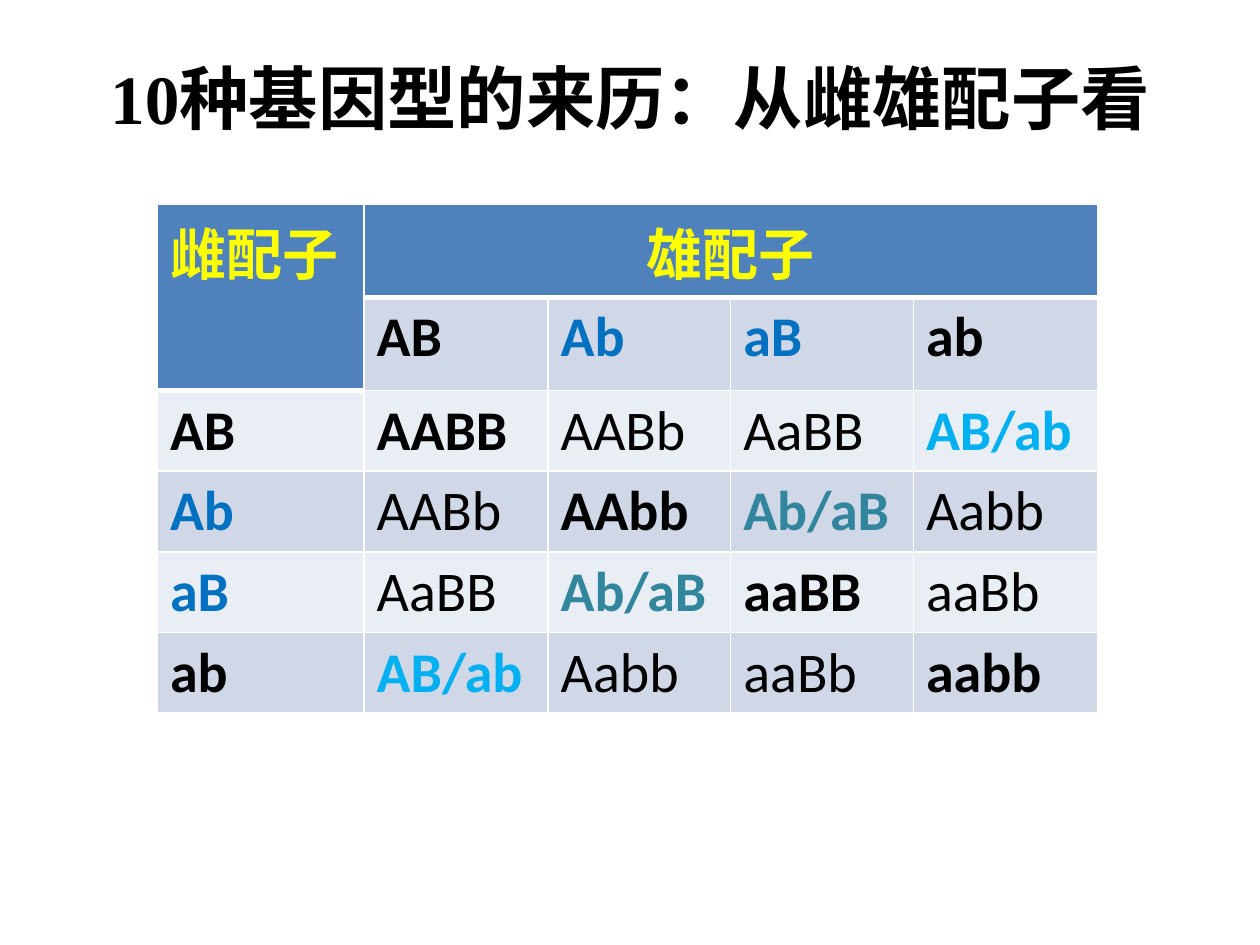
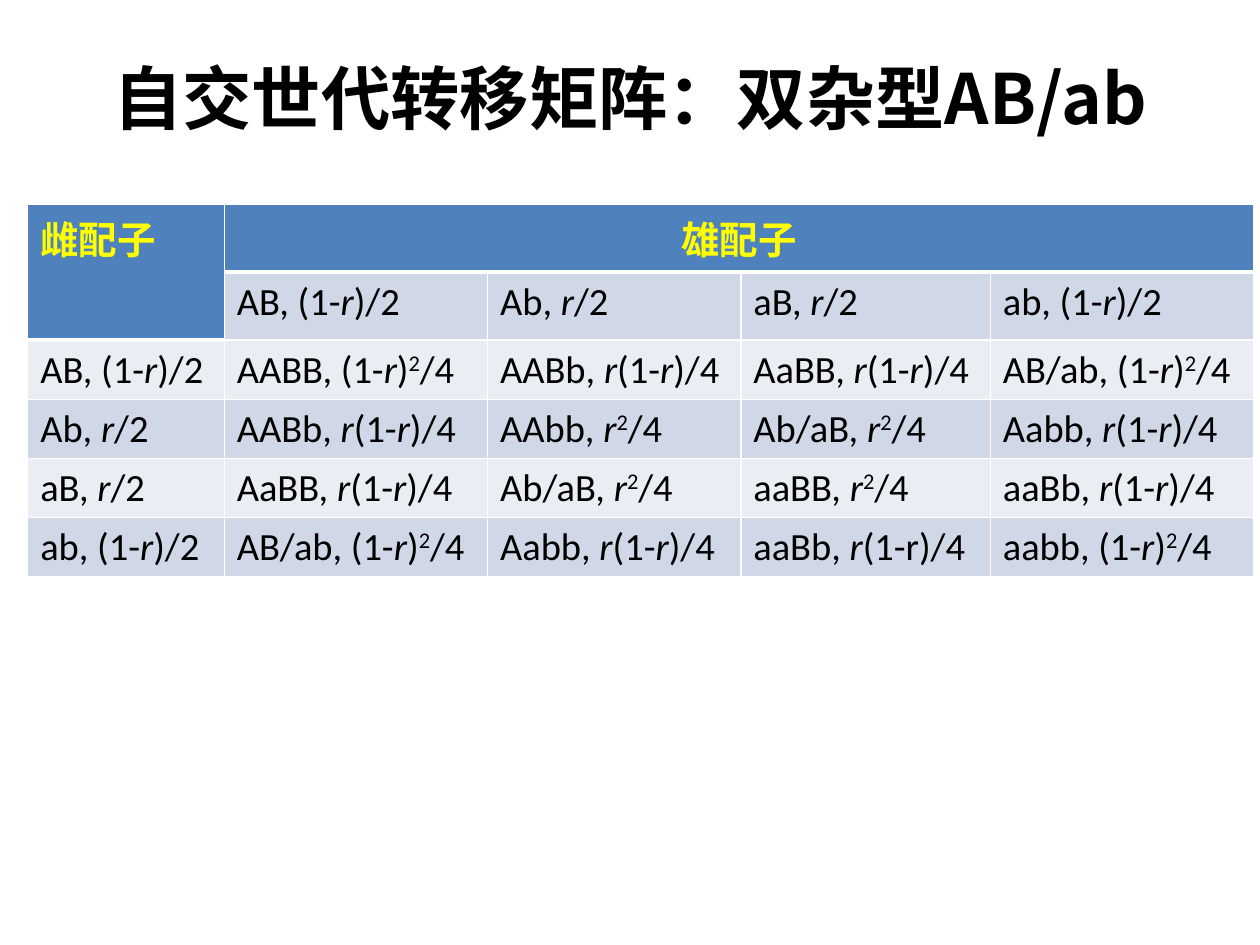
from lxml import etree
from pptx import Presentation
from pptx.dml.color import RGBColor
from pptx.enum.text import MSO_ANCHOR, PP_ALIGN
from pptx.oxml.ns import qn
from pptx.util import Inches, Pt

MID = MSO_ANCHOR.MIDDLE
LEFT = PP_ALIGN.LEFT
CENTER = PP_ALIGN.CENTER

SANS = "Calibri"
HAN = "Noto Sans CJK SC"
SERIF = "Times New Roman"

BLACK, WHITE, YELLOW = "000000", "FFFFFF", "FFFF00"
HEAD = "4F81BD"
BANDS = ["E9EDF4", "D0D8E8"]
BLUE, CYAN, TEAL = "0070C0", "00B0F0", "31859C"

GAMETES = ["AB", "Ab", "aB", "ab"]
GENES = [
    ["AABB", "AABb", "AaBB", "AB/ab"],
    ["AABb", "AAbb", "Ab/aB", "Aabb"],
    ["AaBB", "Ab/aB", "aaBB", "aaBb"],
    ["AB/ab", "Aabb", "aaBb", "aabb"],
]
TINTS = {"Ab": BLUE, "aB": BLUE, "AB/ab": CYAN, "Ab/aB": TEAL}


def color(code):
    return RGBColor.from_string(code)


class Deck:
    def __init__(self):
        self.prs = Presentation()
        self.prs.slide_width = Inches(10)
        self.prs.slide_height = Inches(7.5)
        self.slide = None

    def page(self, title, font):
        self.slide = self.prs.slides.add_slide(self.prs.slide_layouts[6])
        box = self.slide.shapes.add_textbox(
            Inches(0.5), Inches(0.3), Inches(9), Inches(0.93))
        frame = box.text_frame
        frame.word_wrap = True
        frame.vertical_anchor = MID
        self.label(frame, title, 39.6, font, bold=True, align=CENTER)

    def label(self, frame, text, size, font, tint=BLACK, bold=False, align=LEFT):
        para = frame.paragraphs[0]
        para.alignment = align
        for spot, part in enumerate(text.split("_")):
            if part:
                marked = spot % 2 == 1
                run = para.add_run()
                run.text = part
                run.font.size = Pt(size)
                run.font.bold = bold
                run.font.italic = marked and part == "r"
                run.font.color.rgb = color(tint)
                run.font.name = font
                props = run._r.get_or_add_rPr()
                etree.SubElement(props, qn("a:ea"), typeface=HAN)
                if marked and part == "2":
                    props.set("baseline", "30000")

    def style_cell(self, cell, fill, top, base):
        props = cell._tc.get_or_add_tcPr()
        for side, width in zip("LRTB", (1, 1, top, base)):
            line = etree.SubElement(props, qn("a:ln" + side), w=str(Pt(width)))
            solid = etree.SubElement(line, qn("a:solidFill"))
            etree.SubElement(solid, qn("a:srgbClr"), val=WHITE)
        cell.fill.solid()
        cell.fill.fore_color.rgb = color(fill)

    def cross(self, left, widths, heights, size, rows):
        grid = self.slide.shapes.add_table(
            6, 5, Inches(left), Inches(1.62),
            Inches(sum(widths)), Inches(sum(heights))).table
        for col, width in zip(grid.columns, widths):
            col.width = Inches(width)
        for row, height in zip(grid.rows, heights):
            row.height = Inches(height)
        for r in range(6):
            for c in range(5):
                depth = r - (2 if c == 0 else 1)
                head = depth < 0
                top = 3 if depth == 0 else 1
                base = 3 if head else 1
                fill = HEAD if head else BANDS[r % 2]
                self.style_cell(grid.cell(r, c), fill, top, base)
        grid.cell(0, 0).merge(grid.cell(1, 0))
        grid.cell(0, 1).merge(grid.cell(0, 4))
        for c, (text, align) in enumerate([("雌配子", LEFT), ("雄配子", CENTER)]):
            self.label(grid.cell(0, c).text_frame, text, size, HAN,
                       YELLOW, True, align)
        for r, row in enumerate(rows, 1):
            for c, (text, tint, bold) in enumerate(row):
                if text:
                    self.label(grid.cell(r, c).text_frame, text, size,
                               SANS, tint, bold)


def cross_rows(sides, inner, style):
    rows = [[""] + sides]
    rows += [[side] + line for side, line in zip(sides, inner)]
    return [[(text, *style(text, r, c)) for c, text in enumerate(row)]
            for r, row in enumerate(rows)]


def gene_style(text, r, c):
    return TINTS.get(text, BLACK), r * c == 0 or r == c or r + c == 5


def plain_style(text, r, c):
    return BLACK, False


def chance(r, c):
    if r == c or r + c == 3:
        return "(1-_r_)_2_/4" if r in (0, 3) else "_r__2_/4"
    return "_r_(1-r)/4" if (r, c) == (3, 2) else "_r_(1-_r_)/4"


def main():
    deck = Deck()

    deck.page("10种基因型的来历：从雌雄配子看", SERIF)
    deck.cross(1.25, [1.64, 1.46, 1.45, 1.45, 1.46],
               [0.74] * 2 + [0.64] * 4, 32,
               cross_rows(GAMETES, GENES, gene_style))

    sides = [f"{name}, {'_r_' if name in ('Ab', 'aB') else '(1-_r_)'}/2"
             for name in GAMETES]
    inner = [[f"{gene}, {chance(r, c)}" for c, gene in enumerate(line)]
             for r, line in enumerate(GENES)]
    deck.page("自交世代转移矩阵：双杂型AB/ab", HAN)
    deck.cross(0.22, [1.56, 2.09, 2.01, 1.98, 2.09],
               [0.54] * 2 + [0.47] * 4, 22,
               cross_rows(sides, inner, plain_style))

    deck.prs.save("out.pptx")


if __name__ == "__main__":
    main()
